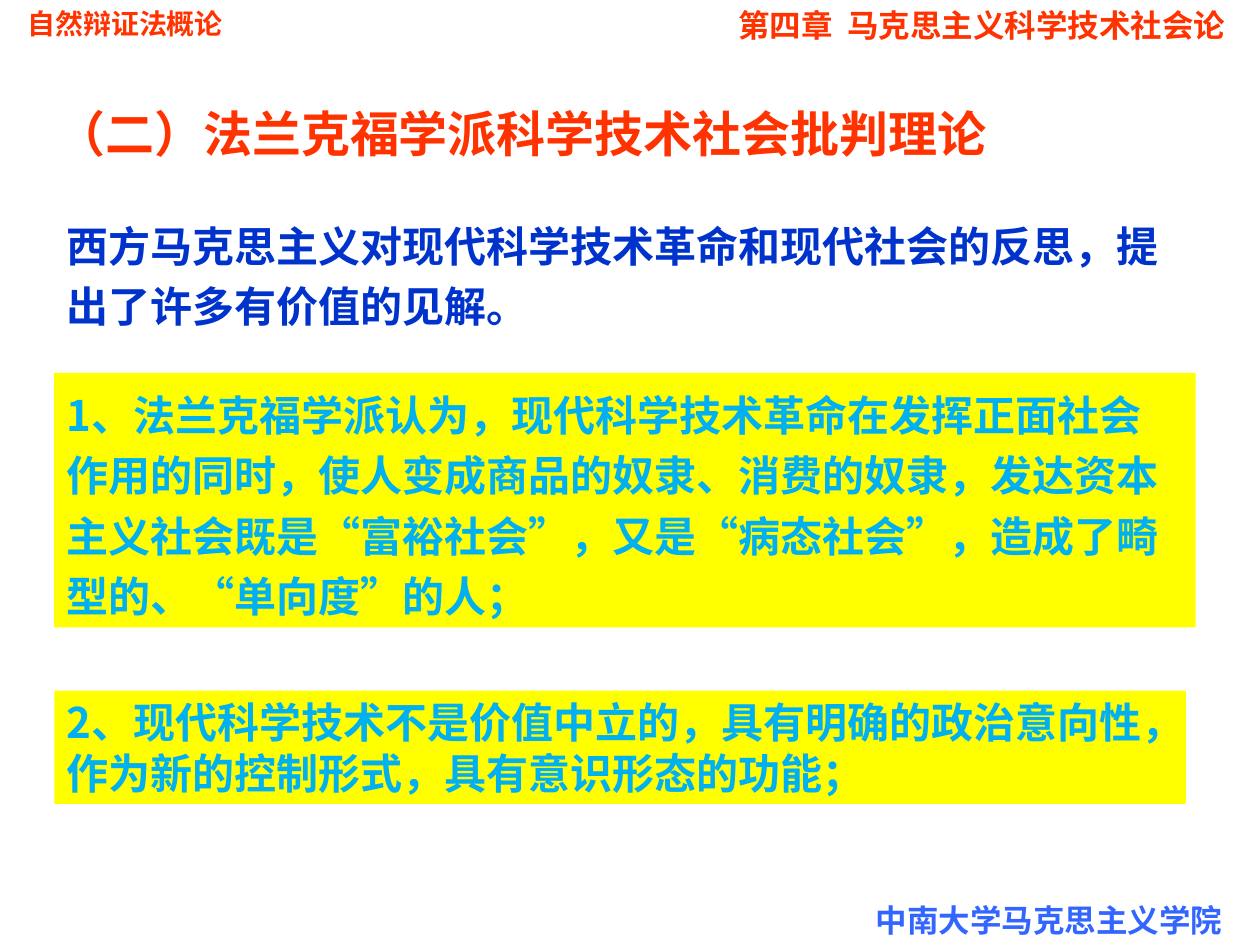
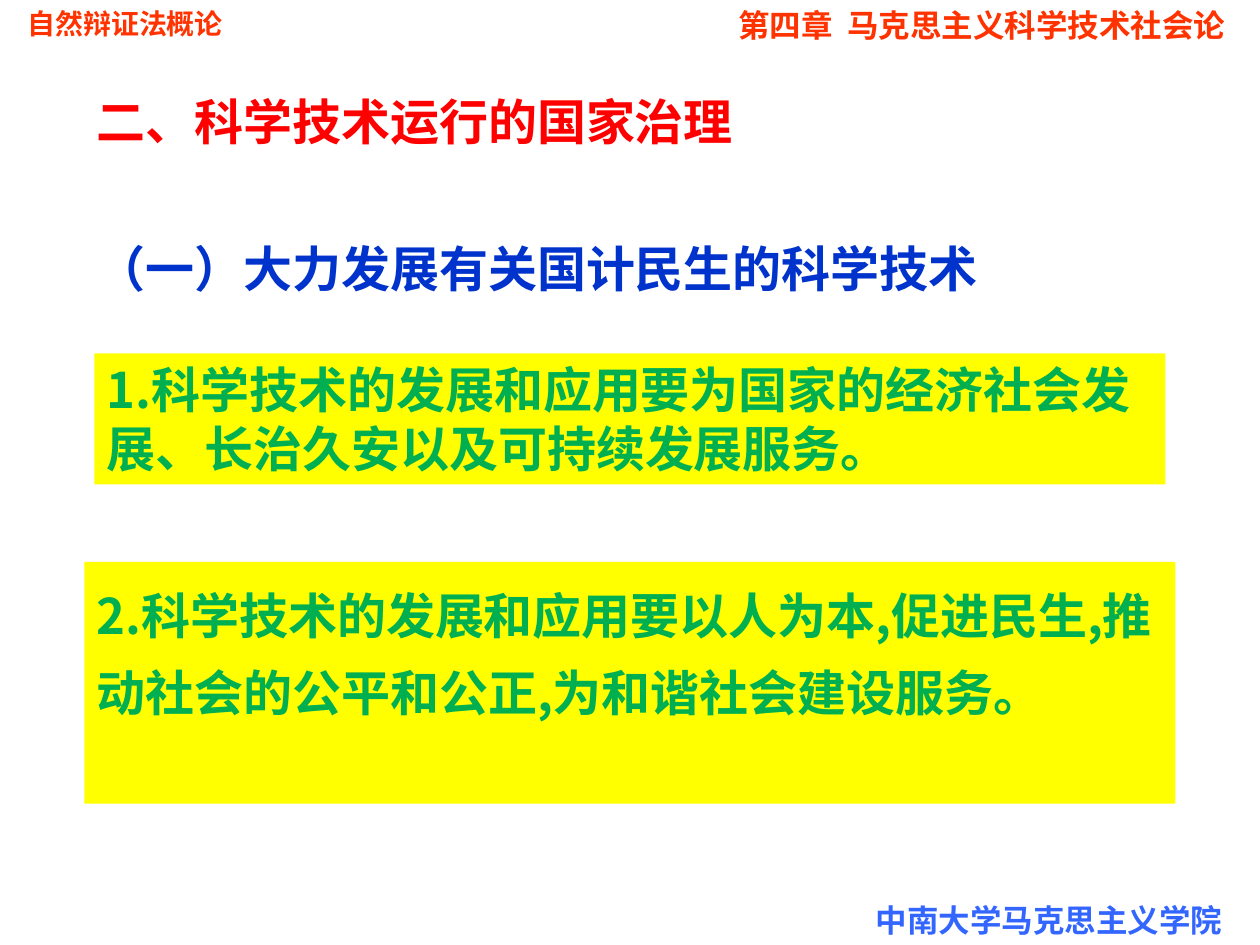
from itertools import groupby

from lxml import etree
from pptx import Presentation
from pptx.dml.color import RGBColor
from pptx.enum.shapes import MSO_SHAPE
from pptx.enum.text import MSO_ANCHOR, PP_ALIGN
from pptx.oxml.ns import qn
from pptx.util import Pt

RECT = MSO_SHAPE.RECTANGLE
TOP = MSO_ANCHOR.TOP
LEFT, RIGHT = PP_ALIGN.LEFT, PP_ALIGN.RIGHT

THEME = {
    "orange": "FF3300", "red": "FF0000", "navy": "0033CC", "blue": "3366FF",
    "sky": "00B0F0", "green": "00B050", "yellow": "FFFF00",
    "small": 16, "band": 18, "body": 24, "head": 28,
    "latin": "Arial", "asian": "Noto Sans CJK SC",
}


def add_text(slide, box, text, size, color, line=1.0, before=0,
             panel=False, align=LEFT, right=7.2):
    """Add a text box, or a yellow panel whose quote marks use the Latin font."""
    area = [Pt(v) for v in box]
    if panel:
        shape = slide.shapes.add_shape(RECT, *area)
        shape.shadow.inherit = False
        shape.fill.solid()
        shape.fill.fore_color.rgb = RGBColor.from_string(THEME["yellow"])
        shape.line.fill.background()
        parts = ["".join(g) for _, g in groupby(text, lambda c: c in "“”")]
    else:
        shape = slide.shapes.add_textbox(*area)
        parts = [text]
    frame = shape.text_frame
    frame.word_wrap = True
    frame.vertical_anchor = TOP
    frame.margin_right = Pt(right)
    para = frame.paragraphs[0]
    para.alignment = align
    para.line_spacing = line
    para.space_before = Pt(before)
    for part in parts:
        run = para.add_run()
        run.text = part
        font = run.font
        font.size = Pt(THEME[size])
        font.bold = True
        font.color.rgb = RGBColor.from_string(THEME[color])
        plain = panel and part not in "“”"
        font.name = THEME["asian" if plain else "latin"]
        asian = etree.SubElement(run._r.get_or_add_rPr(), qn("a:ea"))
        asian.set("typeface", THEME["asian"])


# Each entry: box, text, size, colour, line spacing, space before, panel
SLIDES = [
    [
        ((25.2, 49, 646.6, 47.5), "（二）法兰克福学派科学技术社会批判理论",
         "head", "orange", 1.2, 7, False),
        ((31, 116.6, 658, 76.3),
         "西方马克思主义对现代科学技术革命和现代社会的反思，提出了许多有价值的见解。",
         "body", "navy", 1.2, 6, False),
        ((31, 213.1, 652.3, 145.4),
         "1、法兰克福学派认为，现代科学技术革命在发挥正面社会作用的同时，"
         "使人变成商品的奴隶、消费的奴隶，发达资本主义社会既是“富裕社会”，"
         "又是“病态社会”，造成了畸型的、“单向度”的人；",
         "body", "sky", 1.2, 6, True),
        ((31, 394.6, 646.6, 64.8),
         "2、现代科学技术不是价值中立的，具有明确的政治意向性，"
         "作为新的控制形式，具有意识形态的功能；",
         "body", "sky", 1.0, 15, True),
    ],
    [
        ((48.2, 49, 589.7, 41), "二、科学技术运行的国家治理",
         "head", "red", 1.0, 17.5, False),
        ((48.2, 122.4, 646.6, 51.1), "（一）大力发展有关国计民生的科学技术",
         "head", "navy", 1.3, 7, False),
        ((54, 202, 612, 74.9),
         "1.科学技术的发展和应用要为国家的经济社会发展、长治久安以及可持续发展服务。",
         "head", "green", 1.0, 17.5, True),
        ((48.2, 321.1, 623.5, 138.2),
         "2.科学技术的发展和应用要以人为本,促进民生,"
         "推动社会的公平和公正,为和谐社会建设服务。",
         "head", "green", 1.3, 7, True),
    ],
]

deck = Presentation()
deck.slide_width, deck.slide_height = Pt(720), Pt(540)
blank = deck.slide_layouts[6]

for items in SLIDES:
    slide = deck.slides.add_slide(blank)
    add_text(slide, (8.6, 0, 272.2, 26.6), "自然辩证法概论",
             "small", "orange", before=10)
    add_text(slide, (493.2, 511.2, 226.8, 28.8), "中南大学马克思主义学院",
             "band", "blue", before=2.2)
    add_text(slide, (382.3, 0, 337.7, 28.8), "第四章  马克思主义科学技术社会论",
             "band", "orange", before=11.2, align=RIGHT, right=20)
    for item in items:
        add_text(slide, *item)

deck.save("out.pptx")
